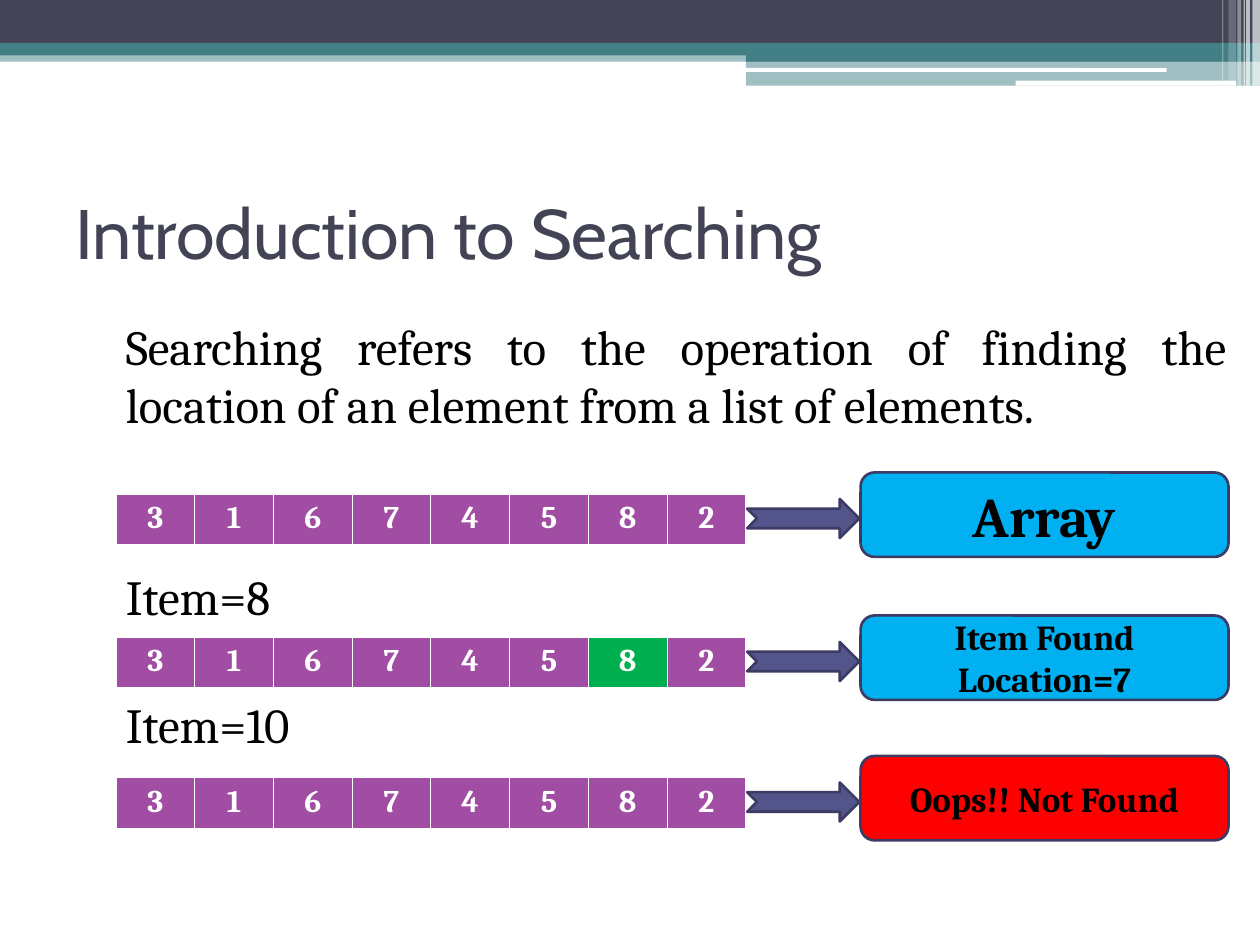
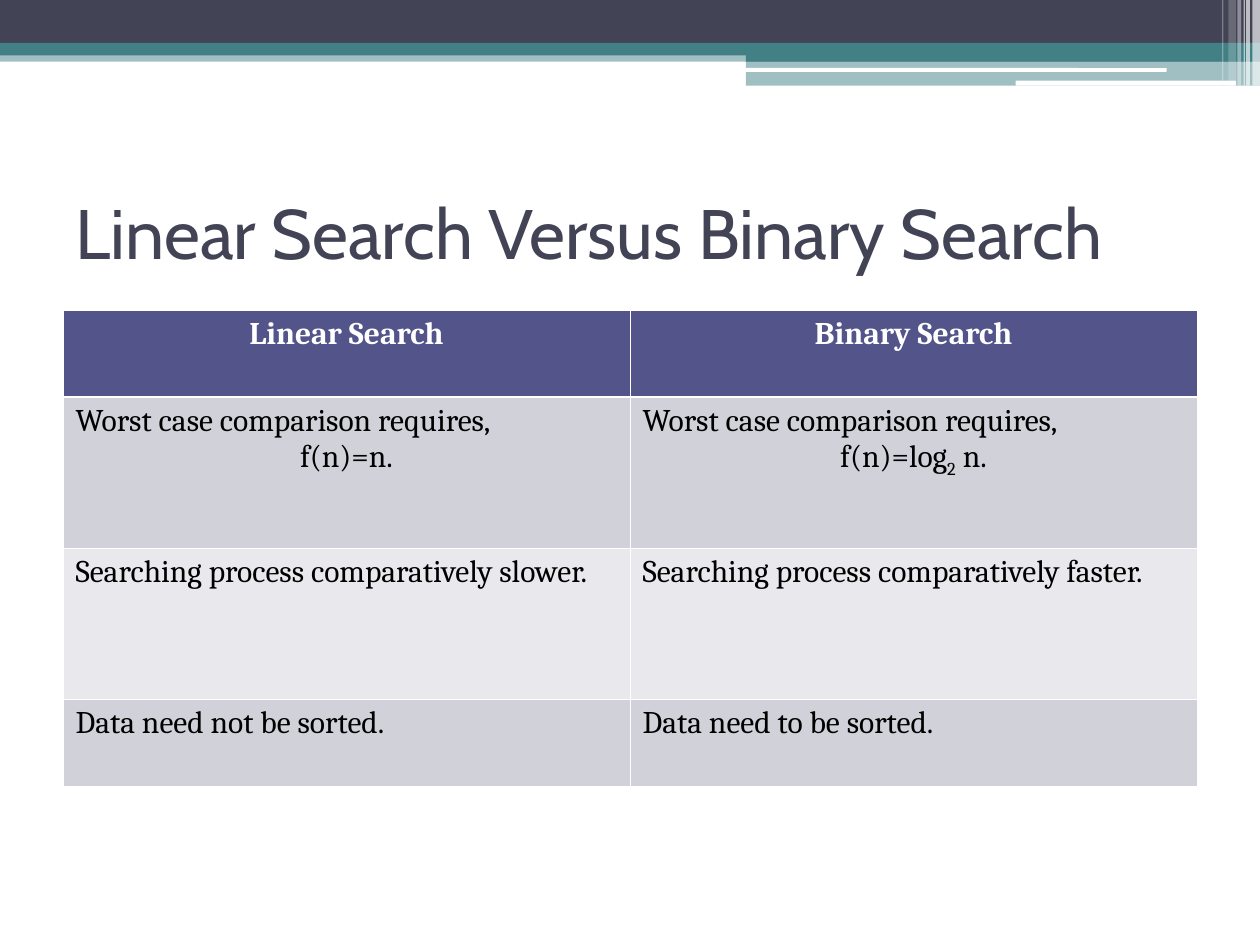
from lxml import etree
from pptx import Presentation
from pptx.dml.color import RGBColor
from pptx.enum.shapes import MSO_SHAPE
from pptx.enum.text import MSO_ANCHOR, PP_ALIGN
from pptx.oxml.ns import qn
from pptx.util import Inches, Pt

RECT, ROUND = MSO_SHAPE.RECTANGLE, MSO_SHAPE.ROUNDED_RECTANGLE
ARROW = MSO_SHAPE.NOTCHED_RIGHT_ARROW
LEFT, CENTER, JUSTIFY = PP_ALIGN.LEFT, PP_ALIGN.CENTER, PP_ALIGN.JUSTIFY
TOP, MIDDLE = MSO_ANCHOR.TOP, MSO_ANCHOR.MIDDLE

COLUMNS, ROWS, CELL = 100, 75, 0.1
INK, TEAL, WHITE, BLACK = "424456", "438086", "FFFFFF", "000000"
INDIGO, OUTLINE, PURPLE, GREEN = "53548A", "3B3B64", "A04DA3", "00B050"
SKY, RED, GREY, PALE = "00B0F0", "FF0000", "D1D1DA", "E9E9ED"
HEADING_FONT, BODY_FONT = "Cabin", "Cambria"
THIN, THICK = 0.45, 1.47

BANDS = [
    (RECT, (0, 4, 100, 0.9), TEAL, 50),
    (RECT, (0, 0, 100, 3.4), INK, 100),
    (RECT, (0, 3.4, 100, 1), TEAL, 100),
    (RECT, (59.2, 3.9, 40.8, 1), TEAL, 100),
    (RECT, (59.2, 4.8, 40.8, 2), TEAL, 50),
    (ROUND, (59.1, 5.4, 33.5, 0.3), WHITE, 100),
    (ROUND, (80.6, 6.4, 17.5, 0.4), WHITE, 100),
]
STRIPES = [
    (99.4, 0.6, 6.8, 65), (98.9, 0.3, 6.8, 65), (98.7, 0.1, 6.8, 60),
    (98.2, 0.3, 6.8, 40), (97.5, 0.6, 6.4, 20), (97, 0.1, 6.4, 30),
]


def color(code):
    """Turn a hex string into a colour."""
    return RGBColor.from_string(code)


def grid(*steps):
    """Turn grid steps into slide lengths."""
    return [Inches(step * CELL) for step in steps]


class Deck:
    """Holds the shared style and the slide being built."""

    def __init__(self):
        """Open an empty presentation of the grid's size."""
        self.file = Presentation()
        self.file.slide_width, self.file.slide_height = grid(COLUMNS, ROWS)
        self.slide = None

    def start(self, title):
        """Add a slide with its header bands and title."""
        self.slide = self.file.slides.add_slide(self.file.slide_layouts[6])
        for kind, area, fill, opacity in BANDS:
            self.shape(kind, area, fill, opacity)
        for left, width, height, opacity in STRIPES:
            self.shape(RECT, (left, 0, width, height), WHITE, opacity)
        self.text((5, 12.5, 90, 11.7), [(title, LEFT, 0)], 40, INK, HEADING_FONT, MIDDLE)

    def shape(self, kind, area, fill, opacity=100, outline=None):
        """Draw a flat preset shape."""
        shape = self.slide.shapes.add_shape(kind, *grid(*area))
        shape.shadow.inherit = False
        shape.fill.solid()
        shape.fill.fore_color.rgb = color(fill)
        if opacity < 100:
            tint = shape.fill._xPr.find(qn("a:solidFill"))[0]
            etree.SubElement(tint, qn("a:alpha"), val=str(opacity * 1000))
        if outline:
            shape.line.color.rgb = color(outline)
            shape.line.width = Pt(1.5)
        else:
            shape.line.fill.background()
        return shape

    def set_lines(self, frame, lines, size, ink, font=BODY_FONT, bold=False):
        """Fill a frame with (text, alignment, space before); odd runs are subscripts."""
        frame.word_wrap = True
        for index, (text, align, gap) in enumerate(lines):
            paragraph = frame.add_paragraph() if index else frame.paragraphs[0]
            paragraph.alignment = align
            if gap:
                paragraph.space_before = Pt(gap)
            paragraph.font.size = Pt(size)
            paragraph.font.name = font
            paragraph.font.bold = bold
            paragraph.font.color.rgb = color(ink)
            for order, part in enumerate([text] if isinstance(text, str) else text):
                run = paragraph.add_run()
                run.text = part
                if order % 2:
                    run._r.get_or_add_rPr().set("baseline", "-25000")

    def text(self, area, lines, size, ink, font=BODY_FONT, anchor=TOP):
        """Place a text box."""
        frame = self.slide.shapes.add_textbox(*grid(*area)).text_frame
        frame.vertical_anchor = anchor
        self.set_lines(frame, lines, size, ink, font)

    def label(self, area, lines, size, fill):
        """Place an outlined rounded box with bold centred lines."""
        frame = self.shape(ROUND, area, fill, outline=OUTLINE).text_frame
        frame.vertical_anchor = MIDDLE
        self.set_lines(frame, [(line, CENTER, 0) for line in lines], size, BLACK, bold=True)

    def borders(self, cell, top, bottom):
        """Give a table cell white borders."""
        properties = cell._tc.get_or_add_tcPr()
        for side, width in zip("LRTB", (THIN, THIN, top, bottom)):
            line = etree.SubElement(properties, qn(f"a:ln{side}"), w=str(Pt(width)))
            paint = etree.SubElement(line, qn("a:solidFill"))
            etree.SubElement(paint, qn("a:srgbClr"), val=WHITE)

    def table(self, area, heights, rows, fill_at):
        """Place a table with a bold white first row; rows hold lists of lines."""
        shape = self.slide.shapes.add_table(len(rows), len(rows[0]), *grid(*area))
        table = shape.table
        table.horz_banding = False
        for r, (height, row) in enumerate(zip(heights, rows)):
            table.rows[r].height = grid(height)[0]
            for c, lines in enumerate(row):
                cell = table.cell(r, c)
                self.borders(cell, THICK if r == 1 else THIN, THIN if r else THICK)
                cell.fill.solid()
                cell.fill.fore_color.rgb = color(fill_at(r, c))
                self.set_lines(cell.text_frame, lines, 18, BLACK if r else WHITE, bold=r == 0)

    def array(self, top, values, found, result, size, fill):
        """Draw an array row, its arrow and its result box."""
        cells = [[(str(value), CENTER, 0)] for value in values]
        self.table((9.2, top, 50, 4.1), [4.1], [cells],
                   lambda r, c: GREEN if values[c] == found else PURPLE)
        self.shape(ARROW, (59.3, top + 0.4, 8.9, 3.1), INDIGO, outline=OUTLINE)
        self.label((68.3, top - 1.7, 29.2, 6.7), result, size, fill)


def introduction(deck):
    """Build the slide that explains searching on an array."""
    deck.start("Introduction to Searching")
    deck.text((9, 24.6, 89.3, 47.3), [
        ("Searching refers to the operation of finding the location of an element "
         "from a list of elements.", JUSTIFY, 0),
        ("Item=8", JUSTIFY, 76),
        ("Item=10", JUSTIFY, 39.5),
    ], 28, BLACK)
    values = [3, 1, 6, 7, 4, 5, 8, 2]
    deck.array(39.2, values, None, ["Array"], 32, SKY)
    deck.array(50.55, values, 8, ["Item Found", "Location=7"], 20, SKY)
    deck.array(61.7, values, 10, ["Oops!! Not Found"], 20, RED)


def comparison(deck):
    """Build the slide that compares the two searches."""
    deck.start("Linear Search Versus Binary Search")
    worst_case = ("Worst case comparison requires,", JUSTIFY, 0)
    rows = [
        [[("Linear Search", CENTER, 0)], [("Binary Search", CENTER, 0)]],
        [[worst_case, ("f(n)=n.", CENTER, 0)],
         [worst_case, (("f(n)=log", "2", " n."), CENTER, 0)]],
        [[(f"Searching process comparatively {speed}.", JUSTIFY, 0)]
         for speed in ("slower", "faster")],
        [[(f"Data need {need} sorted.", JUSTIFY, 0)] for need in ("not be", "to be")],
    ]
    fills = [INDIGO, GREY, PALE, GREY]
    deck.table((5, 24.6, 90, 37.9), [6.9, 12, 12, 6.9], rows, lambda r, c: fills[r])


def main():
    """Build and save the deck."""
    deck = Deck()
    introduction(deck)
    comparison(deck)
    deck.file.save("out.pptx")


if __name__ == "__main__":
    main()
